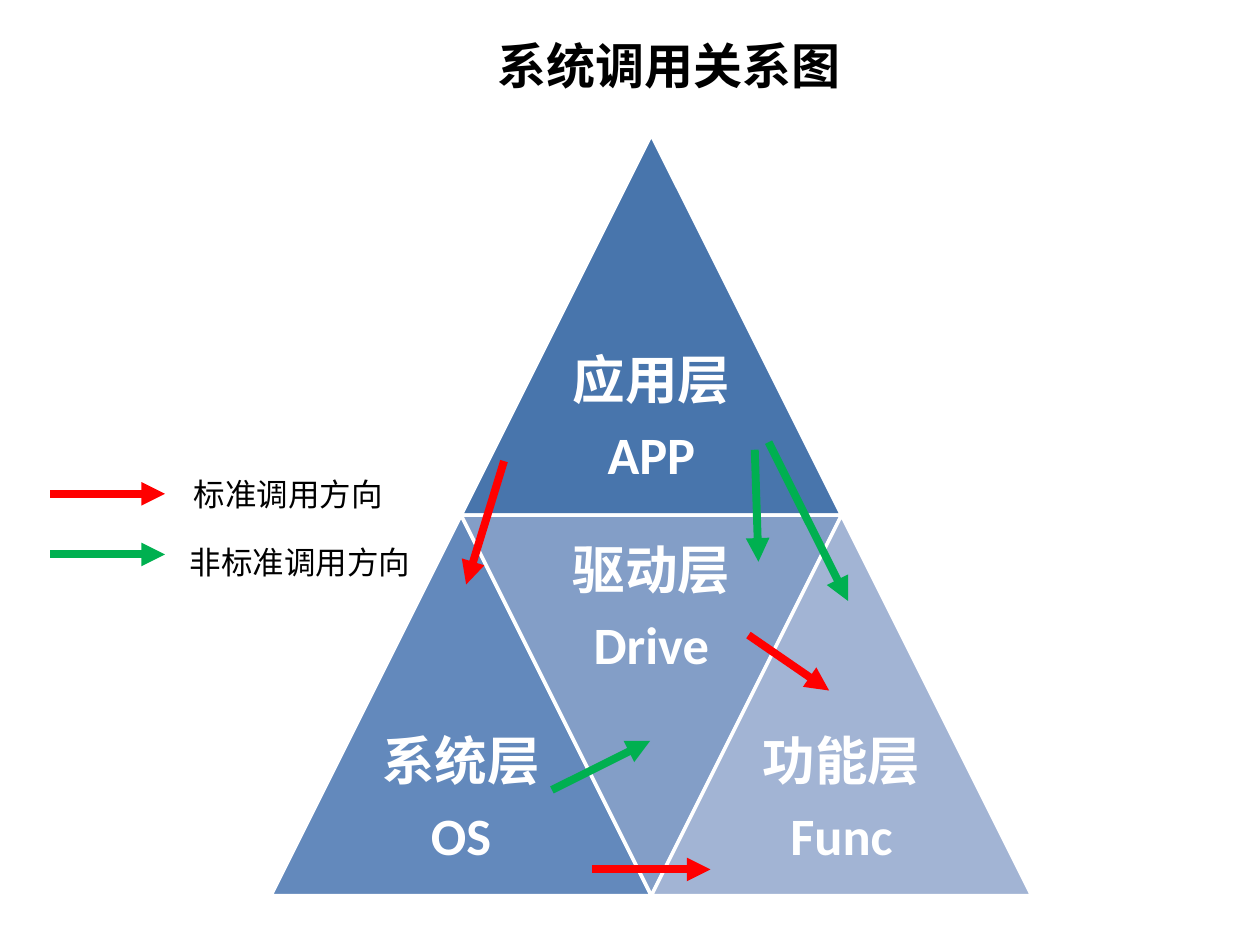
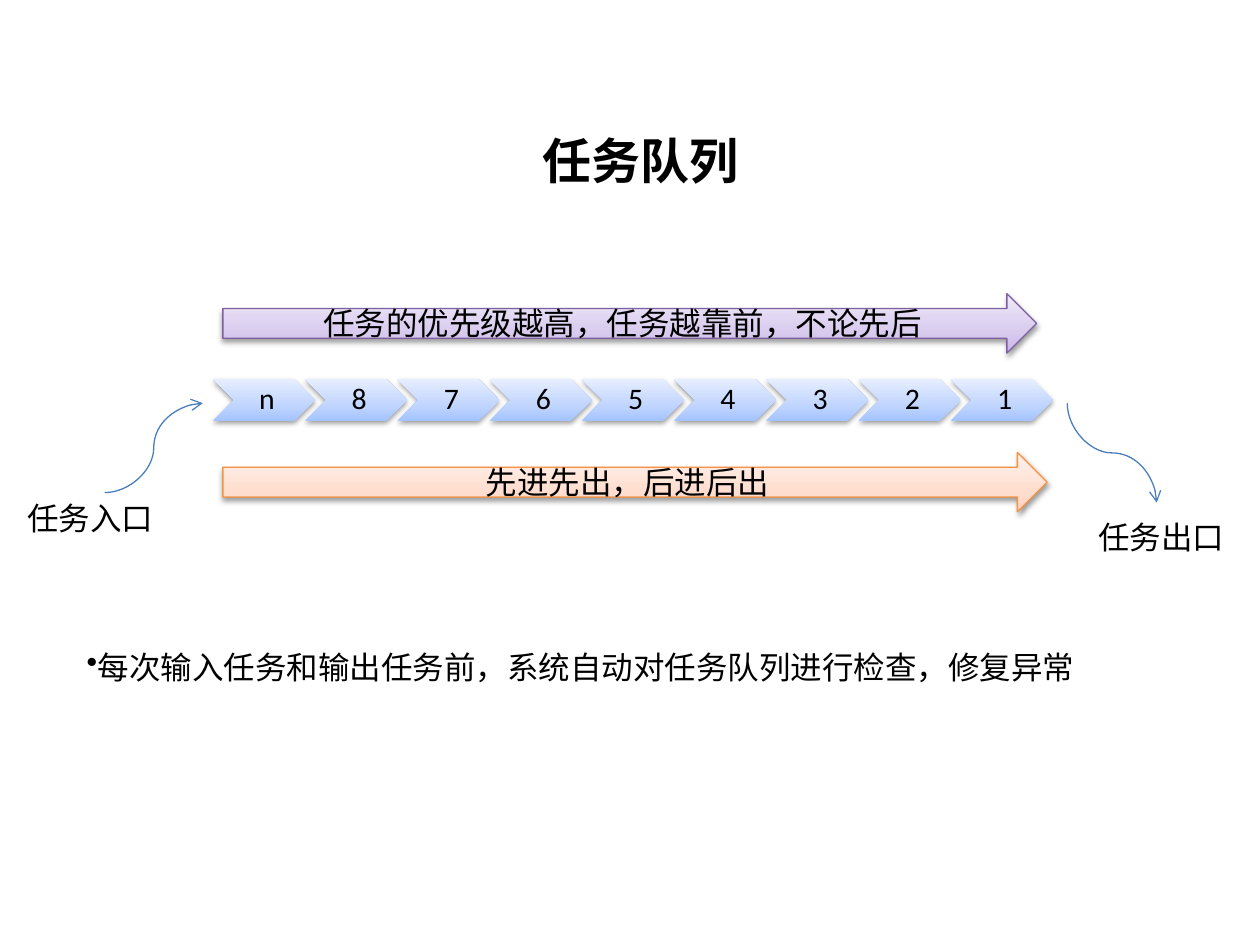
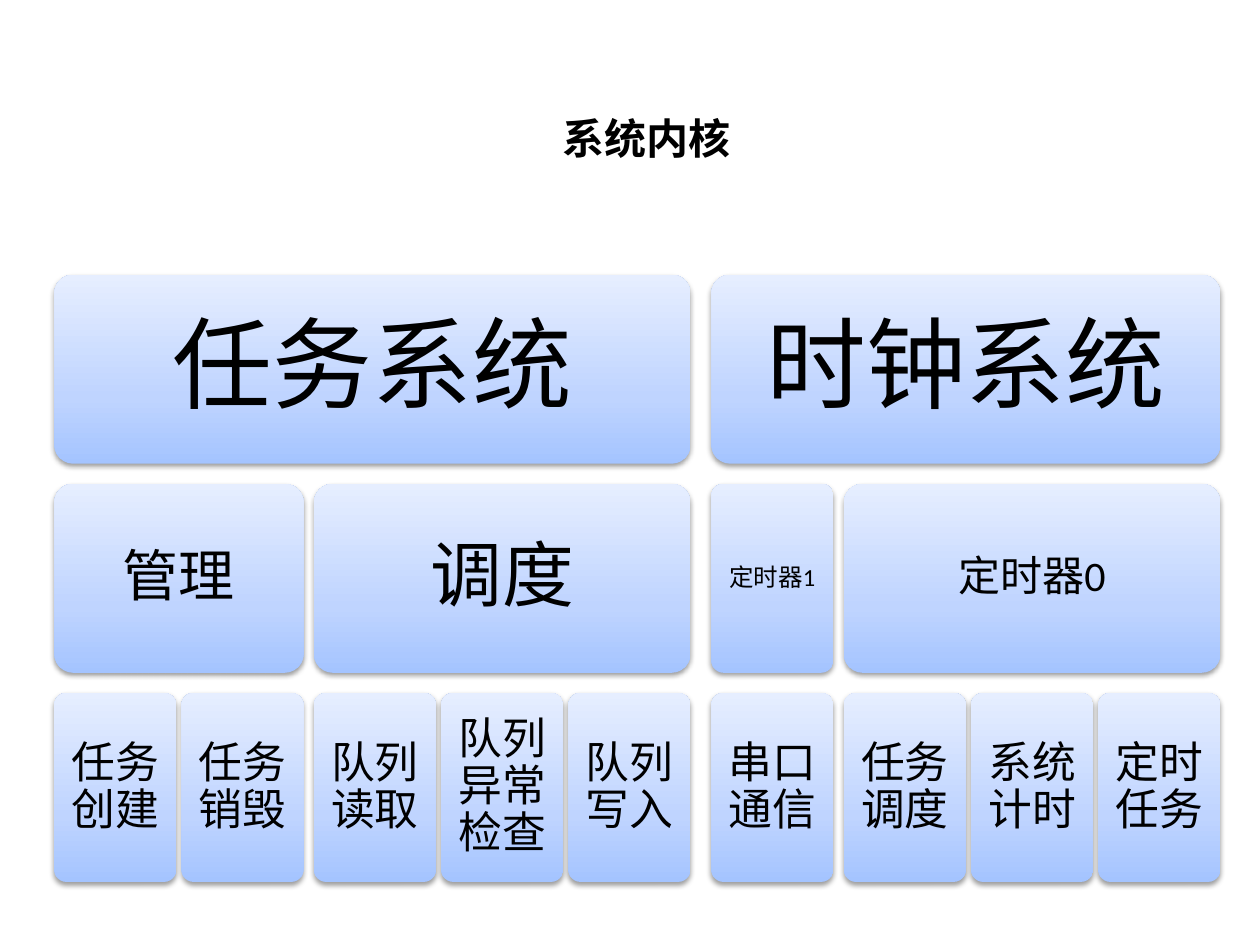
import pptx
import pptx.dml.color
import pptx.enum.shapes
import pptx.enum.text
import pptx.oxml
import pptx.oxml.ns
import pptx.util

Pt = pptx.util.Pt
SHAPE = pptx.enum.shapes.MSO_SHAPE
CONNECTOR = pptx.enum.shapes.MSO_CONNECTOR
ALIGN = pptx.enum.text.PP_ALIGN
ANCHOR = pptx.enum.text.MSO_ANCHOR
AUTO_SIZE = pptx.enum.text.MSO_AUTO_SIZE
qn = pptx.oxml.ns.qn
NAMESPACE = pptx.oxml.ns.nsdecls("a")

# Shared style
FONT = "Calibri"
BLACK, WHITE = "000000", "FFFFFF"
RED, GREEN, CURVE_BLUE = "FF0000", "00B050", "4B7EBC"
BLUE_GRADIENT = ("A4C4FF", "BFD4FF", "E6EEFF")
PURPLE_GRADIENT = ("C9B5E8", "D8CBEE", "F0EAF9")
ORANGE_GRADIENT = ("FFD2BD", "FFDED0", "FFF2ED")
GRADIENT_POSITIONS = (0, 35, 100)


def color(value):
    return pptx.dml.color.RGBColor.from_string(value)


def format_text(text_frame, text, size, font_color=BLACK, bold=False, align=None):
    text_frame.text = text
    for paragraph in text_frame.paragraphs:
        paragraph.alignment = align
        for run in paragraph.runs:
            run.font.name = FONT
            run.font.size = Pt(size)
            run.font.bold = bold
            run.font.color.rgb = color(font_color)


def format_diagram_text(text_frame, text, size, insets, font_color=BLACK, bold=False):
    """Centred diagram label with tight lines; insets are left, top, right, bottom."""
    format_text(text_frame, text, size, font_color, bold, ALIGN.CENTER)
    text_frame.word_wrap = True
    text_frame.vertical_anchor = ANCHOR.MIDDLE
    (text_frame.margin_left, text_frame.margin_top,
     text_frame.margin_right, text_frame.margin_bottom) = map(Pt, insets)
    for paragraph in text_frame.paragraphs:
        paragraph.line_spacing = 0.9
        paragraph.space_after = Pt(round(size * 0.35, 2))


def add_text(slide, left, top, width, height, text, size=18, bold=False, wrap=False):
    box = slide.shapes.add_textbox(Pt(left), Pt(top), Pt(width), Pt(height))
    format_text(box.text_frame, text, size, bold=bold)
    box.text_frame.word_wrap = wrap
    box.text_frame.auto_size = AUTO_SIZE.SHAPE_TO_FIT_TEXT
    return box


def add_title(slide, left, top, width, height, text, size=28, wrap=False):
    add_text(slide, left, top, width, height, text, size, True, wrap)


def add_bullet(paragraph):
    properties = paragraph._p.get_or_add_pPr()
    properties.set("marL", "0")
    properties.set("indent", "0")
    properties.append(pptx.oxml.parse_xml(f'<a:buChar {NAMESPACE} char="•"/>'))


def add_glossy_shape(slide, kind, left, top, width, height, gradient, line=None):
    """Preset shape with an upward gradient and a soft shadow below it."""
    shape = slide.shapes.add_shape(kind, Pt(left), Pt(top), Pt(width), Pt(height))
    shape.fill.gradient()
    shape.fill.gradient_angle = 90
    stops = "".join(
        f'<a:gs pos="{position * 1000}"><a:srgbClr val="{value}"/></a:gs>'
        for position, value in zip(GRADIENT_POSITIONS, gradient))
    properties = shape._element.spPr
    old_stops = properties.find(".//" + qn("a:gsLst"))
    old_stops.getparent().replace(
        old_stops, pptx.oxml.parse_xml(f"<a:gsLst {NAMESPACE}>{stops}</a:gsLst>"))
    if line:
        shape.line.color.rgb = color(line)
        shape.line.width = Pt(0.75)
    else:
        shape.line.fill.background()
    shape.shadow.inherit = False
    properties.find(qn("a:effectLst")).append(pptx.oxml.parse_xml(
        f'<a:outerShdw {NAMESPACE} blurRad="{Pt(3.1)}" dist="{Pt(1.6)}" dir="5400000"'
        ' rotWithShape="0"><a:srgbClr val="000000"><a:alpha val="38000"/></a:srgbClr>'
        '</a:outerShdw>'))
    return shape


def add_arrow(slide, start, end, line_color, width=4.5, head="triangle",
              kind=CONNECTOR.STRAIGHT):
    connector = slide.shapes.add_connector(kind, *map(Pt, start + end))
    connector.line.color.rgb = color(line_color)
    connector.line.width = Pt(width)
    properties = connector._element.spPr
    properties.find(qn("a:ln")).append(
        pptx.oxml.parse_xml(f'<a:tailEnd {NAMESPACE} type="{head}"/>'))
    properties.append(pptx.oxml.parse_xml(f"<a:effectLst {NAMESPACE}/>"))
    return connector


def add_layer(slide, left, top, side, fill, text, inverted=False):
    """Triangle with its label in the wide half."""
    triangle = slide.shapes.add_shape(
        SHAPE.ISOSCELES_TRIANGLE, Pt(left), Pt(top), Pt(side), Pt(side))
    triangle.rotation = 180 if inverted else 0
    triangle.fill.solid()
    triangle.fill.fore_color.rgb = color(fill)
    triangle.line.color.rgb = color(WHITE)
    triangle.line.width = Pt(2)
    triangle.shadow.inherit = False
    half = side / 2
    label = slide.shapes.add_textbox(
        Pt(left + half / 2), Pt(top if inverted else top + half), Pt(half), Pt(half))
    format_diagram_text(label.text_frame, text, 30, (9,) * 4, WHITE, True)


def build_call_diagram(slide):
    # Pyramid of layers
    left, top, side = 154.8, 77, 217.4
    middle, base = left + side / 2, top + side
    add_layer(slide, middle, top, side, "4875AC", "应用层\nAPP")
    add_layer(slide, left, base, side, "6389BC", "系统层\nOS")
    add_layer(slide, middle, base, side, "839EC7", "驱动层\nDrive", inverted=True)
    add_layer(slide, left + side, base, side, "A2B4D4", "功能层\nFunc")
    add_title(slide, 277.2, 16.6, 213, 41, "系统调用关系图")

    # Calls between layers
    for start, end, line_color in (
            ((288, 263.5), (266.4, 334), RED),
            ((338.4, 496.8), (406, 496.8), RED),
            ((427.7, 362.9), (473.8, 394.6), RED),
            ((439.2, 252.7), (484.6, 343.4), GREEN),
            ((431.3, 257), (433.4, 321), GREEN),
            ((315.4, 451.4), (371.5, 423.4), GREEN)):
        add_arrow(slide, start, end, line_color)

    # Legend
    for y, line_color, text_left, text_top, text_width, text in (
            (282.2, RED, 103.7, 267.8, 123.8, "标准调用方向"),
            (316.8, GREEN, 101.5, 306.7, 141.8, "非标准调用方向")):
        add_arrow(slide, (28.8, y), (94.3, y), line_color)
        add_text(slide, text_left, text_top, text_width, 29, text)


def build_task_queue(slide):
    # Queue of tasks
    for index, name in enumerate("n87654321"):
        chevron = add_glossy_shape(slide, SHAPE.CHEVRON, 121.7 + index * 52.7, 216.7,
                                   58.3, 23.8, BLUE_GRADIENT)
        format_diagram_text(chevron.text_frame, name, 17, (5, 1.7, 1.7, 1.7))

    # Entry and exit
    add_arrow(slide, (59.8, 281.5), (115.9, 230.4), CURVE_BLUE, 0.75, "arrow",
              CONNECTOR.CURVE)
    add_text(slide, 8.6, 281.5, 87, 29, "任务入口")
    exit_curve = add_arrow(slide, (663.8, 233.3), (607, 284.4), CURVE_BLUE, 0.75,
                           "arrow", CONNECTOR.CURVE)
    exit_curve._element.spPr.find(qn("a:xfrm")).set("rot", "16200000")
    add_text(slide, 620.6, 292.3, 87, 29, "任务出口")
    add_title(slide, 303, 71.3, 130.3, 41, "任务队列", wrap=True)

    # Queue rules
    for top, width, gradient, line, text in (
            (167.8, 465, PURPLE_GRADIENT, "7D60A0", "任务的优先级越高，任务越靠前，不论先后"),
            (258.5, 471, ORANGE_GRADIENT, "F69240", "先进先出，后进后出")):
        arrow = add_glossy_shape(slide, SHAPE.RIGHT_ARROW, 127.4, top, width, 34,
                                 gradient, line)
        format_text(arrow.text_frame, text, 18, align=ALIGN.CENTER)
        arrow.text_frame.vertical_anchor = ANCHOR.MIDDLE
    note = add_text(slide, 42.5, 366.5, 640.8, 29,
                    "每次输入任务和输出任务前，系统自动对任务队列进行检查，修复异常", wrap=True)
    add_bullet(note.text_frame.paragraphs[0])


def add_block(slide, left, right, row, text, size):
    block = add_glossy_shape(slide, SHAPE.ROUNDED_RECTANGLE, left, 157 + row * 119.5,
                             right - left, 108, BLUE_GRADIENT)
    block.adjustments[0] = 0.1
    format_diagram_text(block.text_frame, text, size, (size * 0.3,) * 4)


def build_kernel(slide):
    # Each system holds modules, each module holds functions
    systems = (
        ("任务系统", (("管理", 32, ("任务创建", "任务销毁")),
                  ("调度", 41, ("队列读取", "队列异常检查", "队列写入")))),
        ("时钟系统", (("定时器1", 14, ("串口通信",)),
                  ("定时器0", 24, ("任务调度", "系统计时", "定时任务")))))
    leaf_width, leaf_gap, module_gap, system_gap = 69.8, 2.9, 5.9, 11.9
    left = 31
    for system, modules in systems:
        system_left = left
        for module, size, functions in modules:
            module_left = left
            for function in functions:
                add_block(slide, left, left + leaf_width, 2, function, 25)
                left += leaf_width + leaf_gap
            right = left - leaf_gap
            add_block(slide, module_left, right, 1, module, size)
            left = right + module_gap
        add_block(slide, system_left, right, 0, system, 57)
        left = right + system_gap
    add_title(slide, 314.6, 60.5, 112.3, 36, "系统内核", 24)


def main():
    presentation = pptx.Presentation()
    presentation.slide_width, presentation.slide_height = Pt(720), Pt(540)
    for build in (build_call_diagram, build_task_queue, build_kernel):
        build(presentation.slides.add_slide(presentation.slide_layouts[6]))
    presentation.save("out.pptx")


main()
